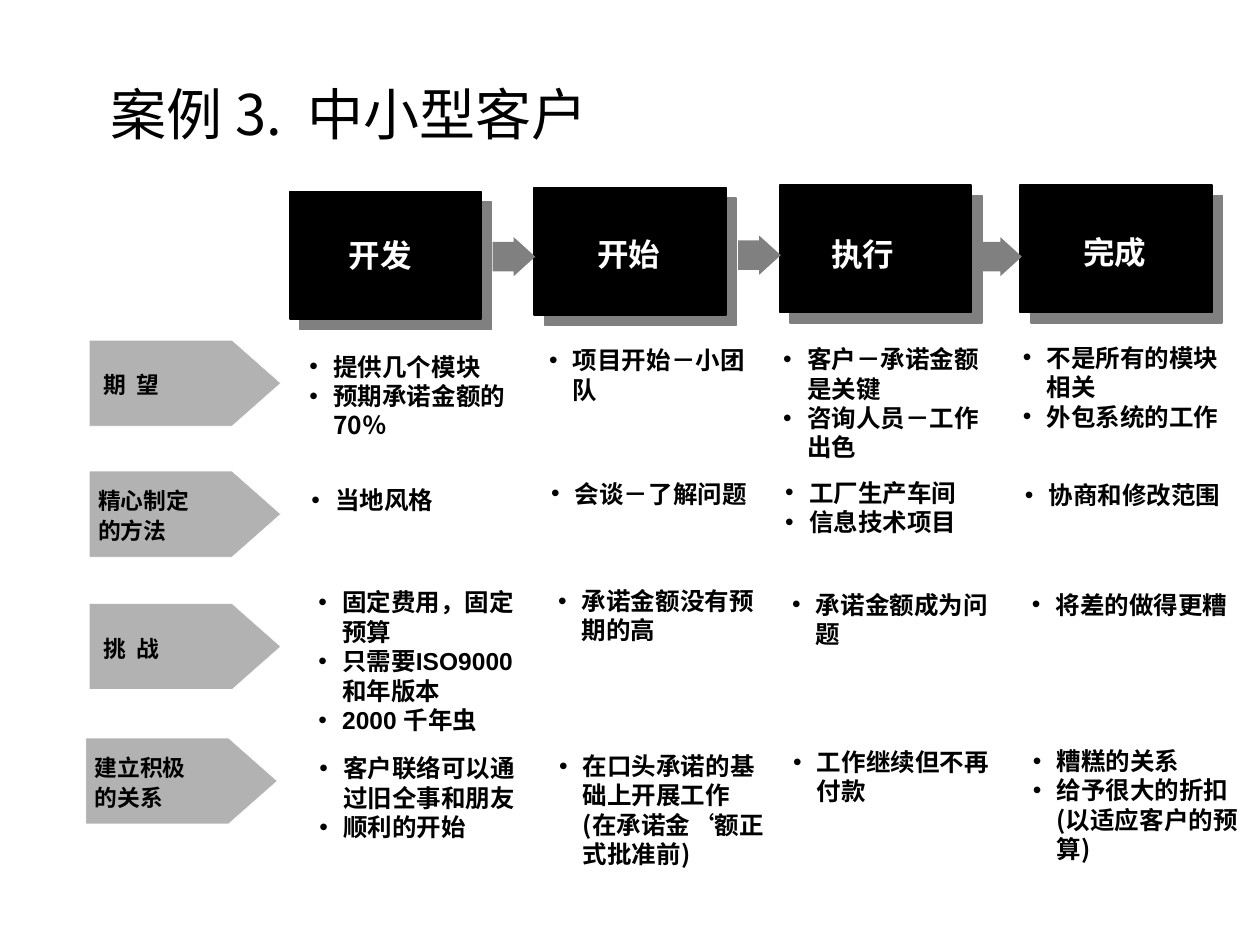
import pptx
import pptx.util
import pptx.dml.color
import pptx.enum.shapes
import pptx.enum.text
import pptx.oxml
import pptx.oxml.ns
from pptx.util import Cm

HUES = {"ink": "000000", "paper": "FFFFFF", "tag": "B2B2B2", "shade": "808080"}
HAN = "Noto Sans CJK SC"
LATIN = "Arial"
ANCHOR = pptx.enum.text.MSO_ANCHOR
SHAPE = pptx.enum.shapes.MSO_SHAPE

STEPS = [  # box left, box top, label left, label top, label
    (5.84, 3.86, 6.78, 4.57, "开发"),
    (10.77, 3.78, 11.79, 4.55, "开始"),
    (15.72, 3.73, 16.51, 4.55, "执行"),
    (20.57, 3.73, 21.59, 4.52, "完成"),
]
ARROWS = [(9.93, 4.78), (14.88, 4.75), (19.74, 4.78)]
TAGS = [  # left, top, text inset, lines
    (1.8, 6.86, 0.28, ["期  望"]),
    (1.8, 9.5, 0.18, ["精心制定", "的方法"]),
    (1.8, 12.17, 0.28, ["挑  战"]),
    (1.73, 14.88, 0.18, ["建立积极", "的关系"]),
]
COLS = [5.99, 10.82, 15.54, 20.37]
ROWS = [  # shift to the right, then (top, line count, items) per column
    (0, [(6.91, 3, ["提供几个模块", "预期承诺金额的70％"]),
         (6.78, 2, ["项目开始－小团队"]),
         (6.76, 4, ["客户－承诺金额是关键", "咨询人员－工作出色"]),
         (6.73, 3, ["不是所有的模块相关", "外包系统的工作"])]),
    (0.04, [(9.6, 1, ["当地风格"]),
            (9.47, 1, ["会谈－了解问题"]),
            (9.45, 2, ["工厂生产车间", "信息技术项目"]),
            (9.5, 1, ["协商和修改范围"])]),
    (0.18, [(11.66, 5, ["固定费用，固定预算",
                        [("只需要ISO9000和年版本", LATIN)],
                        [("2000 千年虫", LATIN)]]),
            (11.63, 2, ["承诺金额没有预期的高"]),
            (11.71, 2, ["承诺金额成为问题"]),
            (11.71, 1, ["将差的做得更糟"])]),
    (0.2, [(15.01, 3, ["客户联络可以通过旧仝事和朋友", "顺利的开始"]),
           (14.96, 4, [[("在口头承诺的基础上开展工作 (在承诺金", HAN),
                        ("‘", LATIN), ("额正式批准前)", HAN)]]),
           (14.88, 2, ["工作继续但不再付款"]),
           (14.86, 4, ["糟糕的关系", "给予很大的折扣(以适应客户的预算)"])]),
]


def rgb(name):
    return pptx.dml.color.RGBColor.from_string(HUES[name])


def add_xml(parent, tag, **attrs):
    node = pptx.oxml.parse_xml(f'<a:{tag} {pptx.oxml.ns.nsdecls("a")}/>')
    for key, value in attrs.items():
        node.set(key, str(value))
    parent.append(node)
    return node


def add_dot(para):
    """Give the paragraph a hanging round bullet."""
    props = para._p.get_or_add_pPr()
    props.set("marL", str(Cm(0.48)))
    props.set("indent", str(-Cm(0.48)))
    add_xml(add_xml(props, "buClr"), "srgbClr", val=HUES["ink"])
    add_xml(props, "buFont", typeface=LATIN)
    add_xml(props, "buChar", char="•")


def write(frame, items, size=14, hue="ink", bold=True, dot=False, gap=0,
          pad=(0.25, 0.18, 0.25, 0.08), anchor=ANCHOR.TOP, wrap=True):
    """Fill a frame; an item is a string or a list of (text, font) runs."""
    frame.word_wrap = wrap
    frame.vertical_anchor = anchor
    (frame.margin_left, frame.margin_top,
     frame.margin_right, frame.margin_bottom) = map(Cm, pad)
    for i, item in enumerate(items):
        para = frame.add_paragraph() if i else frame.paragraphs[0]
        if dot:
            add_dot(para)
        para.alignment = pptx.enum.text.PP_ALIGN.LEFT
        para.line_spacing = pptx.util.Pt(round(size * 1.2, 1))
        para.space_before = pptx.util.Pt(gap if i else 0)
        for text, face in [(item, HAN)] if isinstance(item, str) else item:
            run = para.add_run()
            run.text = text
            run.font.size = pptx.util.Pt(size)
            run.font.bold = bold
            run.font.color.rgb = rgb(hue)
            run.font.name = face
            add_xml(run._r.get_or_add_rPr(), "ea", typeface=HAN)


def add_text(slide, left, top, width, height, items, **style):
    box = slide.shapes.add_textbox(Cm(left), Cm(top), Cm(width), Cm(height))
    write(box.text_frame, items, **style)
    box.text_frame.auto_size = pptx.enum.text.MSO_AUTO_SIZE.SHAPE_TO_FIT_TEXT


def paint(shape, fill, line=None, width=1):
    shape.shadow.inherit = False
    shape.fill.solid()
    shape.fill.fore_color.rgb = rgb(fill)
    if line:
        shape.line.color.rgb = rgb(line)
        shape.line.width = pptx.util.Pt(width)
    else:
        shape.line.fill.background()


def add_step(slide, left, top):
    """Draw a black box with a hard grey shadow."""
    box = slide.shapes.add_shape(SHAPE.RECTANGLE, Cm(left), Cm(top), Cm(3.86), Cm(2.57))
    paint(box, "ink", "ink")
    effects = box._element.spPr.find(pptx.oxml.ns.qn("a:effectLst"))
    cast = add_xml(effects, "outerShdw", dist=pptx.util.Pt(8.5), dir=45 * 60000,
                   algn="ctr", rotWithShape=0)
    add_xml(cast, "srgbClr", val=HUES["shade"])


def add_arrow(slide, left, top):
    arrow = slide.shapes.add_shape(SHAPE.RIGHT_ARROW, Cm(left), Cm(top), Cm(0.86), Cm(0.79))
    arrow.adjustments[0] = 0.75
    arrow.adjustments[1] = 0.55
    paint(arrow, "shade")


def add_tag(slide, left, top, inset, lines):
    """Draw a pointed row label."""
    neck, tip, high = 2.88, 3.86, 1.73
    spots = [(neck, 0), (tip, high / 2), (neck, high), (0, high)]
    pen = slide.shapes.build_freeform(Cm(left), Cm(top))
    pen.add_line_segments([(Cm(left + x), Cm(top + y)) for x, y in spots])
    tag = pen.convert_to_shape()
    paint(tag, "tag", "paper", 0.31)
    write(tag.text_frame, lines, size=13, gap=1.6, pad=(inset, 0.06, 0, 0),
          anchor=ANCHOR.MIDDLE)


def add_title(slide, text):
    title = slide.shapes.title
    title.left, title.top, title.width, title.height = map(Cm, (1.98, 1.35, 23.42, 2.03))
    write(title.text_frame, [text], size=32, bold=False, pad=(0.25, 0.25, 0.25, 0.13))


def main():
    deck = pptx.Presentation()
    deck.slide_width, deck.slide_height = Cm(25.4), Cm(19.05)
    slide = deck.slides.add_slide(deck.slide_layouts[5])
    add_title(slide, "案例 3.  中小型客户")
    for tag in TAGS:
        add_tag(slide, *tag)
    for shift, cells in ROWS:
        for left, (top, count, items) in zip(COLS, cells):
            add_text(slide, left + shift, top, 4.65, 0.26 + 0.59 * count, items, dot=True)
    for left, top, *_ in STEPS:
        add_step(slide, left, top)
    for _, _, left, top, label in STEPS:
        add_text(slide, left, top, 1.78, 1.02, [label], size=18, hue="paper", wrap=False)
    for left, top in ARROWS:
        add_arrow(slide, left, top)
    deck.save("out.pptx")


if __name__ == "__main__":
    main()
